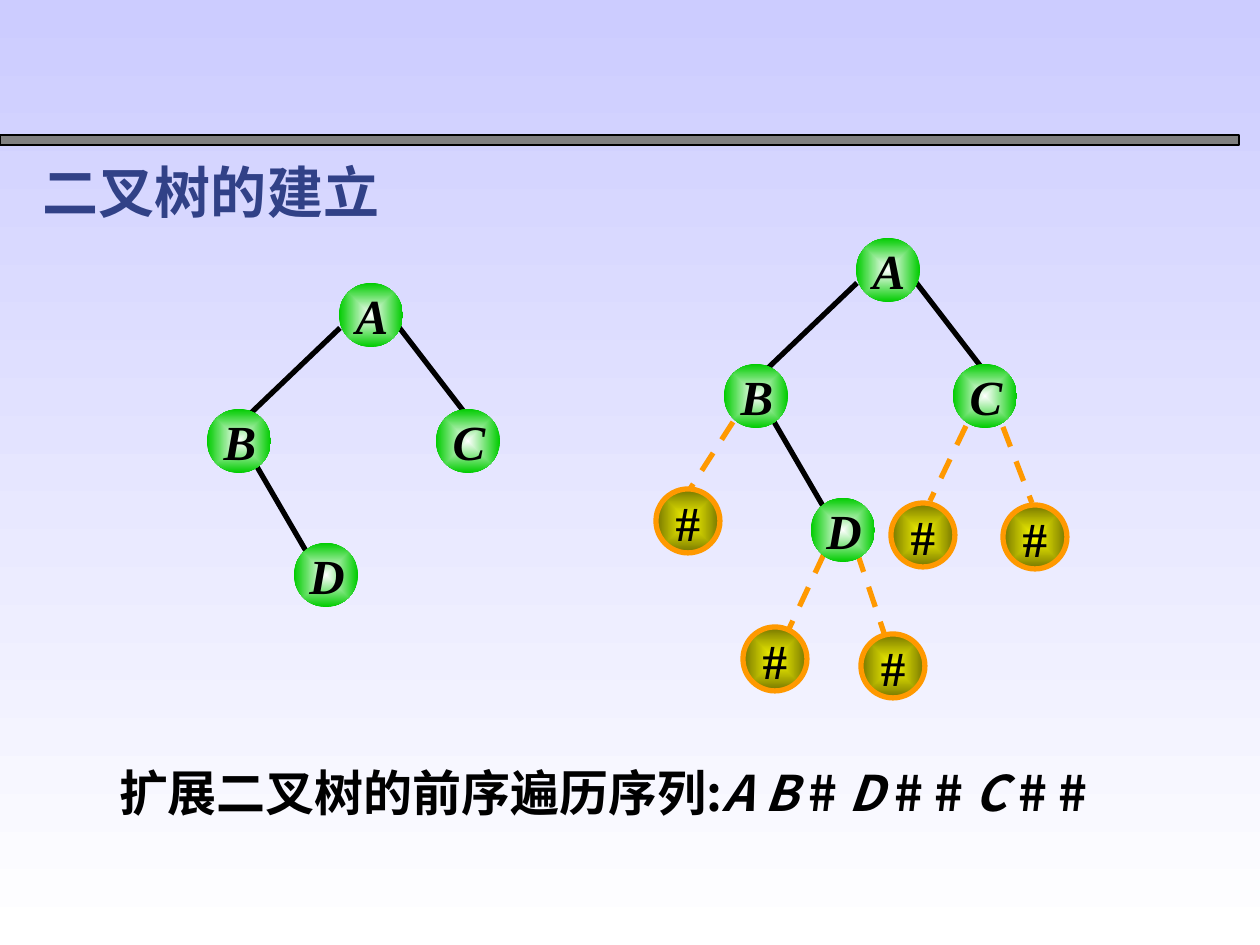
import pptx
import pptx.util
import pptx.dml.color
import pptx.enum.dml
import pptx.enum.shapes
import pptx.enum.text
import pptx.oxml
import pptx.oxml.ns

PX = 7257
CJK = "Noto Sans CJK SC"
A = 'xmlns:a="http://schemas.openxmlformats.org/drawingml/2006/main"'
ALIGN = pptx.enum.text.PP_ALIGN


def rgb(value):
    return pptx.dml.color.RGBColor.from_string(value)


def add_text(runs, box, font=CJK, size=28, color="000000", align=ALIGN.LEFT,
             insets=(12, 6, 12, 6)):
    sp = s.shapes.add_textbox(*[v * PX for v in box])
    tf = sp.text_frame
    tf.word_wrap = True
    tf.vertical_anchor = pptx.enum.text.MSO_ANCHOR.TOP
    tf.margin_left, tf.margin_top, tf.margin_right, tf.margin_bottom = [v * PX for v in insets]
    p = tf.paragraphs[0]
    p.alignment = align
    for text, italic in runs:
        r = p.add_run()
        r.text = text
        r.font.name = font
        r.font.size = pptx.util.Pt(size)
        r.font.bold = True
        r.font.italic = italic
        r.font.color.rgb = rgb(color)
        r.font._element.append(pptx.oxml.parse_xml(f'<a:ea {A} typeface="{font}"/>'))


prs = pptx.Presentation()
prs.slide_width = pptx.util.Inches(10)
prs.slide_height = pptx.util.Inches(7.5)
s = prs.slides.add_slide(prs.slide_layouts[6])

bg = s.background.fill
bg.gradient()
bg.gradient_angle = 270
for stop, color in zip(bg.gradient_stops, ("CCCCFF", "FFFFFF")):
    stop.color.rgb = rgb(color)

bar = s.shapes.add_shape(pptx.enum.shapes.MSO_SHAPE.RECTANGLE, 0, 135 * PX, 1239 * PX, 10 * PX)
bar.shadow.inherit = False
bar.fill.solid()
bar.fill.fore_color.rgb = rgb("808080")
bar.line.color.rgb = rgb("000000")
bar.line.width = pptx.util.Pt(0.75)

add_text([("二叉树的建立", False)], (31, 151, 735, 81), size=32, color="314187")
add_text([("扩展二叉树的前序遍历序列:", False), ("A B ", True), ("# ", False), ("D ", True),
          ("# # ", False), ("C ", True), ("# #", False)],
         (107, 762, 1079, 94), align=ALIGN.JUSTIFY, insets=(12, 0, 12, 0))

tree_nodes = [("A", 339, 283), ("B", 207, 409), ("C", 436, 409), ("D", 294, 543)]
tree_edges = [(340, 328, 251, 413), (398, 326, 465, 413), (256, 465, 306, 551)]
nodes = []
edges = []
for dx, dy in ((0, 0), (517, -45)):
    nodes += [(name, x + dx, y + dy) for name, x, y in tree_nodes]
    edges += [(x1 + dx, y1 + dy, x2 + dx, y2 + dy, False) for x1, y1, x2, y2 in tree_edges]
nodes += [("#", x, y) for x, y in
          ((656, 489), (743, 627), (861, 634), (891, 503), (1003, 505))]
edges += [(733, 422, 690, 489, True), (966, 426, 930, 501, True), (1003, 427, 1032, 503, True),
          (824, 554, 789, 629, True), (857, 552, 885, 636, True)]

for x1, y1, x2, y2, dashed in edges:
    edge = s.shapes.add_connector(pptx.enum.shapes.MSO_CONNECTOR.STRAIGHT,
                                  x1 * PX, y1 * PX, x2 * PX, y2 * PX)
    edge.line.width = pptx.util.Pt(3)
    edge.line.color.rgb = rgb("FF9900" if dashed else "000000")
    if dashed:
        edge.line.dash_style = pptx.enum.dml.MSO_LINE.DASH
    edge._element.spPr.append(pptx.oxml.parse_xml(f"<a:effectLst {A}/>"))

for name, x, y in nodes:
    empty = name == "#"
    sp = s.shapes.add_shape(pptx.enum.shapes.MSO_SHAPE.OVAL, x * PX, y * PX, 64 * PX, 64 * PX)
    sp.shadow.inherit = False
    sp.fill.gradient()
    for stop, color in zip(sp.fill.gradient_stops,
                           ("FFFF00", "757500") if empty else ("FFFFFF", "00CC00")):
        stop.color.rgb = rgb(color)
    lin = sp._element.spPr.find(".//" + pptx.oxml.ns.qn("a:lin"))
    lin.getparent().replace(lin, pptx.oxml.parse_xml(
        f'<a:path {A} path="rect"><a:fillToRect l="50000" t="50000" r="50000" b="50000"/></a:path>'))
    if empty:
        sp.line.color.rgb = rgb("FF9900")
        sp.line.width = pptx.util.Pt(3)
    else:
        sp.line.fill.background()
    box = (x + 8, y + 1, 48, 62) if empty else (x + 6, y, 54, 67)
    add_text([(name, not empty)], box, font="Times New Roman", align=ALIGN.CENTER,
             insets=(0, 3, 0, 0))

prs.save("out.pptx")
